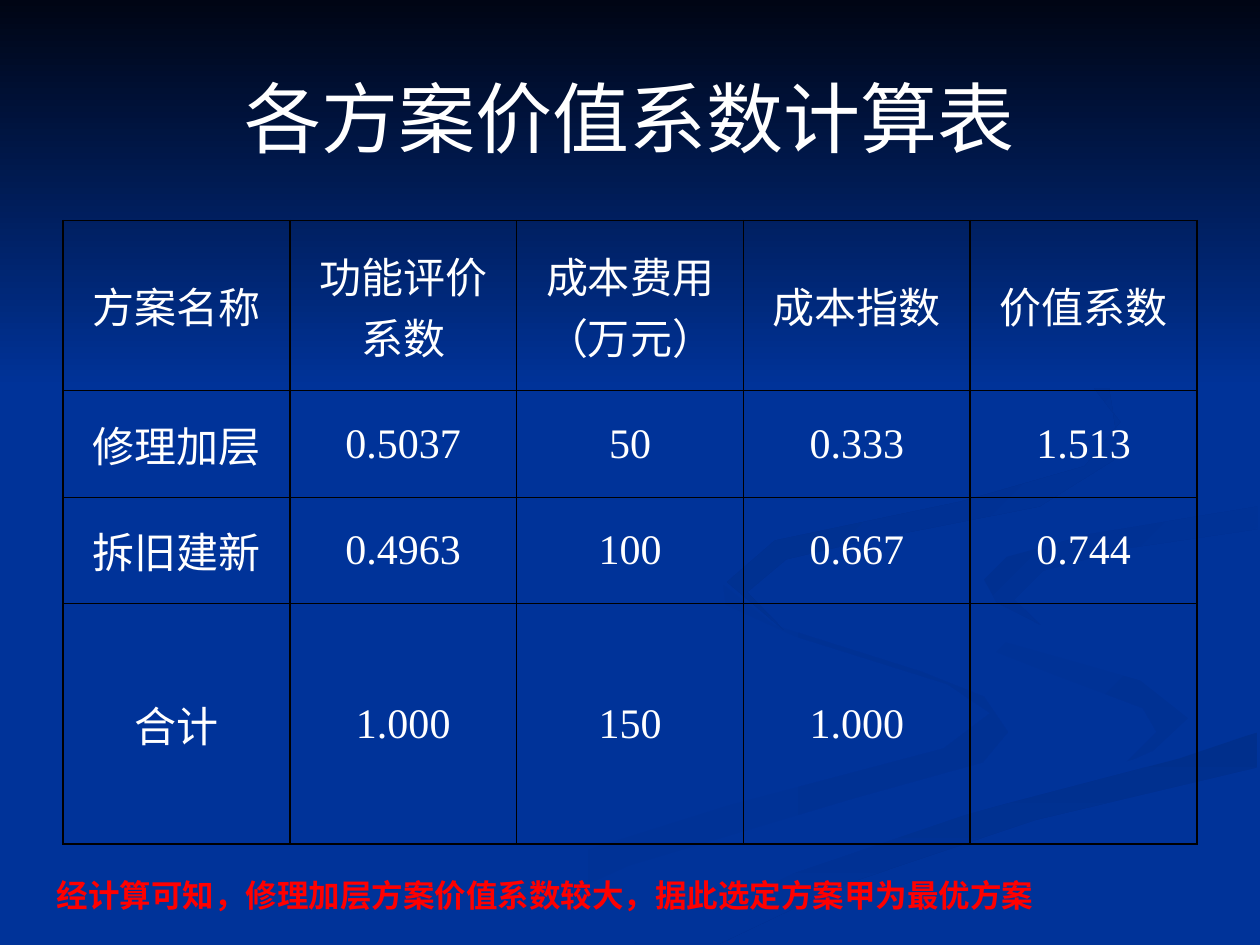
from lxml.etree import SubElement
from pptx import Presentation
from pptx.dml.color import RGBColor
from pptx.enum.lang import MSO_LANGUAGE_ID
from pptx.enum.shapes import MSO_SHAPE
from pptx.enum.text import MSO_ANCHOR, PP_ALIGN
from pptx.oxml.ns import qn
from pptx.util import Pt

PX = 9144  # 100 px to the inch
HUE = {"blue": "003399", "night": "000514", "shade": "003193", "deep": "002F8C",
       "dusk": "003091", "white": "FFFFFF", "black": "000000", "red": "FF0000"}


def color(name):
    return RGBColor.from_string(HUE[name])


def write(frame, text, size=24, hue="white", bold=False, align=PP_ALIGN.CENTER):
    frame.word_wrap = True
    para = frame.paragraphs[0]
    para.alignment = align
    run = para.add_run()
    run.text = text
    font = run.font
    font.name, font.size, font.bold = "Times New Roman", Pt(size), bold
    font.color.rgb = color(hue)
    font.language_id = MSO_LANGUAGE_ID.SIMPLIFIED_CHINESE


def shade(shape, start, end, angle):
    shape.shadow.inherit = False
    shape.line.fill.background()
    shape.fill.gradient()
    shape.fill.gradient_angle = -angle % 360
    for stop, hue in zip(shape.fill.gradient_stops, (start, end)):
        stop.color.rgb = color(hue)


deck = Presentation()
deck.slide_width, deck.slide_height = 1000 * PX, 750 * PX
slide = deck.slides.add_slide(deck.slide_layouts[5])
shapes = slide.shapes
slide.background.fill.solid()
slide.background.fill.fore_color.rgb = color("blue")

# Backdrop ribbons: start hue, end hue, clockwise angle, outline
ribbons = [
    ("blue", "shade", 0, [
        (781, 553), (731, 533), (614, 496), (574, 464), (576, 480), (631, 505),
        (752, 543), (786, 566), (749, 594), (579, 639), (417, 690), (300, 749),
        (361, 749), (499, 687), (676, 634), (780, 605), (800, 581)]),
    ("blue", "shade", 45, [
        (943, 570), (905, 540), (774, 503), (724, 464), (746, 500), (838, 536),
        (907, 562), (918, 581), (894, 605), (937, 586)]),
    ("deep", "blue", 90, [
        (503, 749), (571, 749), (670, 702), (821, 651), (998, 609), (998, 581),
        (936, 602), (764, 647), (630, 693)]),
    ("blue", "blue", 0, [
        (725, 464), (759, 498), (905, 540), (943, 570), (911, 600), (743, 643),
        (573, 703), (477, 749), (519, 747), (630, 693), (765, 647), (999, 581),
        (999, 538), (848, 503), (781, 463), (811, 437), (999, 402), (999, 387),
        (770, 427)]),
    ("dusk", "blue", 45, [
        (781, 460), (791, 478), (826, 496), (805, 476), (828, 453), (896, 435),
        (998, 420), (998, 402), (865, 424), (799, 442)]),
    ("deep", "blue", 45, [
        (683, 430), (825, 402), (889, 362), (880, 307), (821, 261), (762, 233),
        (846, 279), (889, 335), (861, 370), (763, 398), (615, 429), (577, 462),
        (622, 500), (593, 470), (624, 444)]),
]
for start, end, angle, points in ribbons:
    pen = shapes.build_freeform(*points[0], scale=PX)
    pen.add_line_segments(points[1:], close=True)
    shade(pen.convert_to_shape(), start, end, angle)

# Dark sky fading into the background
sky = shapes.add_shape(MSO_SHAPE.RECTANGLE, 0, 0, deck.slide_width, 308 * PX)
shade(sky, "night", "blue", 90)

# Title, brought in front of the backdrop
title = shapes.title
shapes.element.append(title.element)
title.left, title.top, title.width, title.height = 50 * PX, 30 * PX, 900 * PX, 125 * PX
title.text_frame.vertical_anchor = MSO_ANCHOR.MIDDLE
write(title.text_frame, "各方案价值系数计算表", size=44)

# Table of value coefficients
rows = [
    ["方案名称", "功能评价系数", "成本费用（万元）", "成本指数", "价值系数"],
    ["修理加层", "0.5037", "50", "0.333", "1.513"],
    ["拆旧建新", "0.4963", "100", "0.667", "0.744"],
    ["合计", "1.000", "150", "1.000", ""],
]
table = shapes.add_table(4, 5, 50 * PX, 175 * PX, 900 * PX, 495 * PX).table
table.first_row = table.horz_banding = False
for col in table.columns:
    col.width = 180 * PX
for row, height, texts in zip(table.rows, (135, 85, 84, 191), rows):
    row.height = height * PX
    for cell, text in zip(row.cells, texts):
        cell.vertical_anchor = MSO_ANCHOR.MIDDLE
        if text:
            write(cell.text_frame, text)
        props = cell._tc.get_or_add_tcPr()
        for side in ("a:lnL", "a:lnR", "a:lnT", "a:lnB"):
            edge = SubElement(props, qn(side), w=str(Pt(1)))
            paint = SubElement(edge, qn("a:solidFill"))
            SubElement(paint, qn("a:srgbClr"), val=HUE["black"])
        cell.fill.background()

# Conclusion
note = shapes.add_textbox(35 * PX, 690 * PX, 921 * PX, 40 * PX)
write(note.text_frame, "经计算可知，修理加层方案价值系数较大，据此选定方案甲为最优方案",
      size=18, hue="red", bold=True, align=PP_ALIGN.LEFT)

deck.save("out.pptx")
